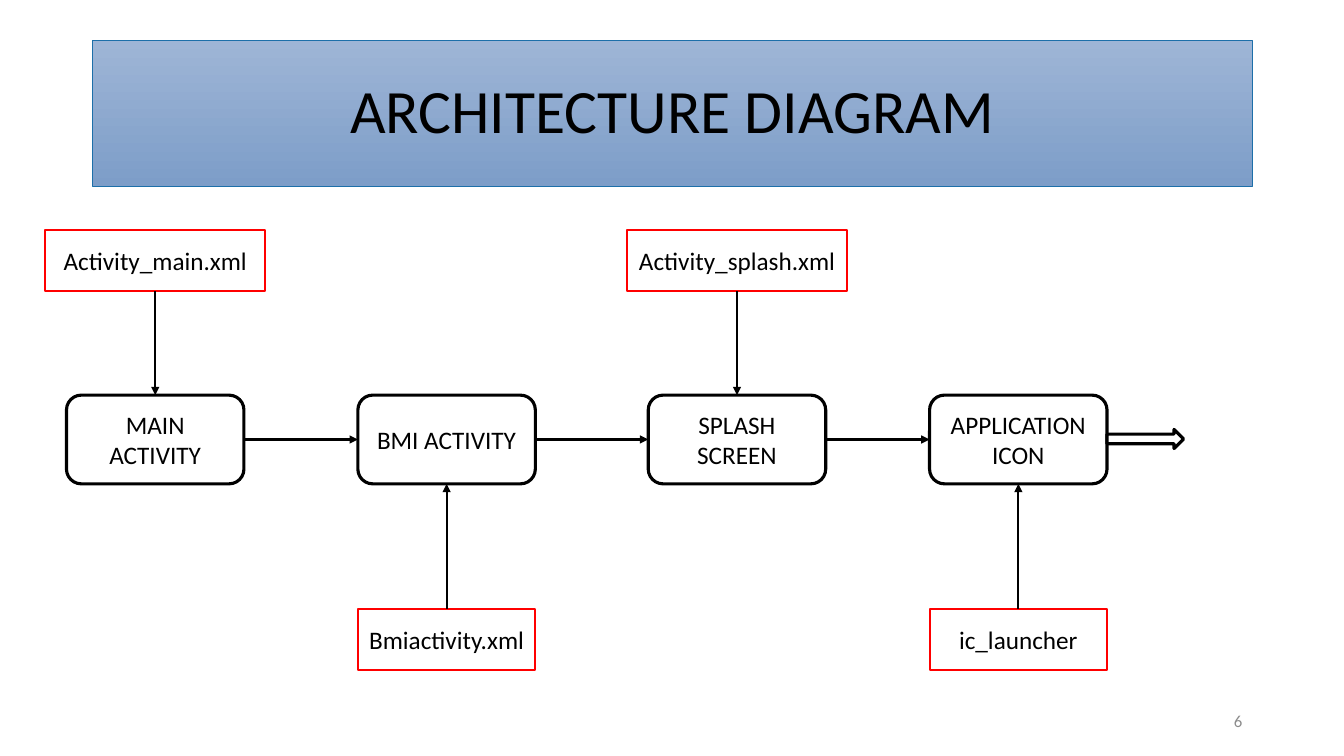
from lxml import etree
from pptx import Presentation
from pptx import util as u
from pptx.dml import color
from pptx.enum import shapes, text
from pptx.oxml import ns

KIND = shapes.MSO_SHAPE
ALIGN = text.PP_ALIGN
TOP, LEFT, BASE, RIGHT = range(4)


def rgb(code):
    """Turn a hex string into a colour."""
    return color.RGBColor.from_string(code)


def write(shape, words, size=18, hue="000000", align=ALIGN.CENTER, space=1.0):
    """Put one formatted paragraph in a shape."""
    frame = shape.text_frame
    frame.word_wrap = True
    frame.vertical_anchor = text.MSO_ANCHOR.MIDDLE
    para = frame.paragraphs[0]
    para.alignment = align
    para.line_spacing = space
    run = para.add_run()
    run.text = words
    for name, value in {"name": "Calibri", "size": u.Pt(size)}.items():
        setattr(run.font, name, value)
    run.font.color.rgb = rgb(hue)


def box(slide, kind, spot, edge, width):
    """Add a white outlined shape."""
    shape = slide.shapes.add_shape(kind, *map(u.Inches, spot))
    shape.shadow.inherit = False
    shape.fill.solid()
    shape.fill.fore_color.rgb = rgb("FFFFFF")
    shape.line.color.rgb = rgb(edge)
    shape.line.width = u.Pt(width)
    return shape


def title(slide, words):
    """Add the title banner with its gradient."""
    shape = box(slide, KIND.RECTANGLE, (0.92, 0.4, 11.5, 1.45), "1D6FA9", 0.5)
    shape.fill.gradient()
    shape.fill.gradient_angle = 270
    for stop, hue in zip(shape.fill.gradient_stops, ("9EB5D6", "7D9DC8")):
        stop.color.rgb = rgb(hue)
    write(shape, words, size=44, space=0.9)


def step(slide, left, words):
    """Add a rounded box of the main flow."""
    shape = box(slide, KIND.ROUNDED_RECTANGLE, (left, 3.92, 1.76, 0.88), "000000", 2.25)
    write(shape, words)
    return shape


def file(slide, mid, top, wide, words):
    """Add a red file box centred on a given position."""
    spot = (mid - wide / 2, top, wide, 0.61)
    shape = box(slide, KIND.RECTANGLE, spot, "FF0000", 1.5)
    write(shape, words)
    return shape


def arrow(slide, start, out, end, into):
    """Join two boxes with an arrow."""
    line = slide.shapes.add_connector(shapes.MSO_CONNECTOR.STRAIGHT, 0, 0, 0, 0)
    line.begin_connect(start, out)
    line.end_connect(end, into)
    line.line.color.rgb = rgb("000000")
    line.line.width = u.Pt(1.5)
    tail = etree.SubElement(line.line._get_or_add_ln(), ns.qn("a:tailEnd"))
    tail.set("type", "triangle")
    etree.SubElement(line._element.spPr, ns.qn("a:effectLst"))


def main():
    """Build the slide and save it."""
    deck = Presentation()
    deck.slide_width = u.Inches(13.33)
    deck.slide_height = u.Inches(7.5)
    slide = deck.slides.add_slide(deck.slide_layouts[6])
    title(slide, "ARCHITECTURE DIAGRAM")

    flow = [
        (0.66, "MAIN ACTIVITY", "Activity_main.xml", True),
        (3.55, "BMI ACTIVITY", "Bmiactivity.xml", False),
        (6.43, "SPLASH SCREEN", "Activity_splash.xml", True),
        (9.22, "APPLICATION ICON", "ic_launcher", False),
    ]
    steps = []
    for left, words, name, above in flow:
        node = step(slide, left, words)
        top, wide = (2.28, 2.18) if above else (6.04, 1.76)
        source = file(slide, left + 0.88, top, wide, name)
        out, into = (BASE, TOP) if above else (TOP, BASE)
        arrow(slide, source, out, node, into)
        steps.append(node)
    for start, end in zip(steps, steps[1:]):
        arrow(slide, start, RIGHT, end, LEFT)

    box(slide, KIND.RIGHT_ARROW, (10.98, 4.26, 0.76, 0.19), "000000", 2.25)
    page = slide.shapes.add_textbox(*map(u.Inches, (9.42, 6.95, 3, 0.4)))
    write(page, "6", size=12, hue="8C8C8C", align=ALIGN.RIGHT)
    deck.save("out.pptx")


if __name__ == "__main__":
    main()
